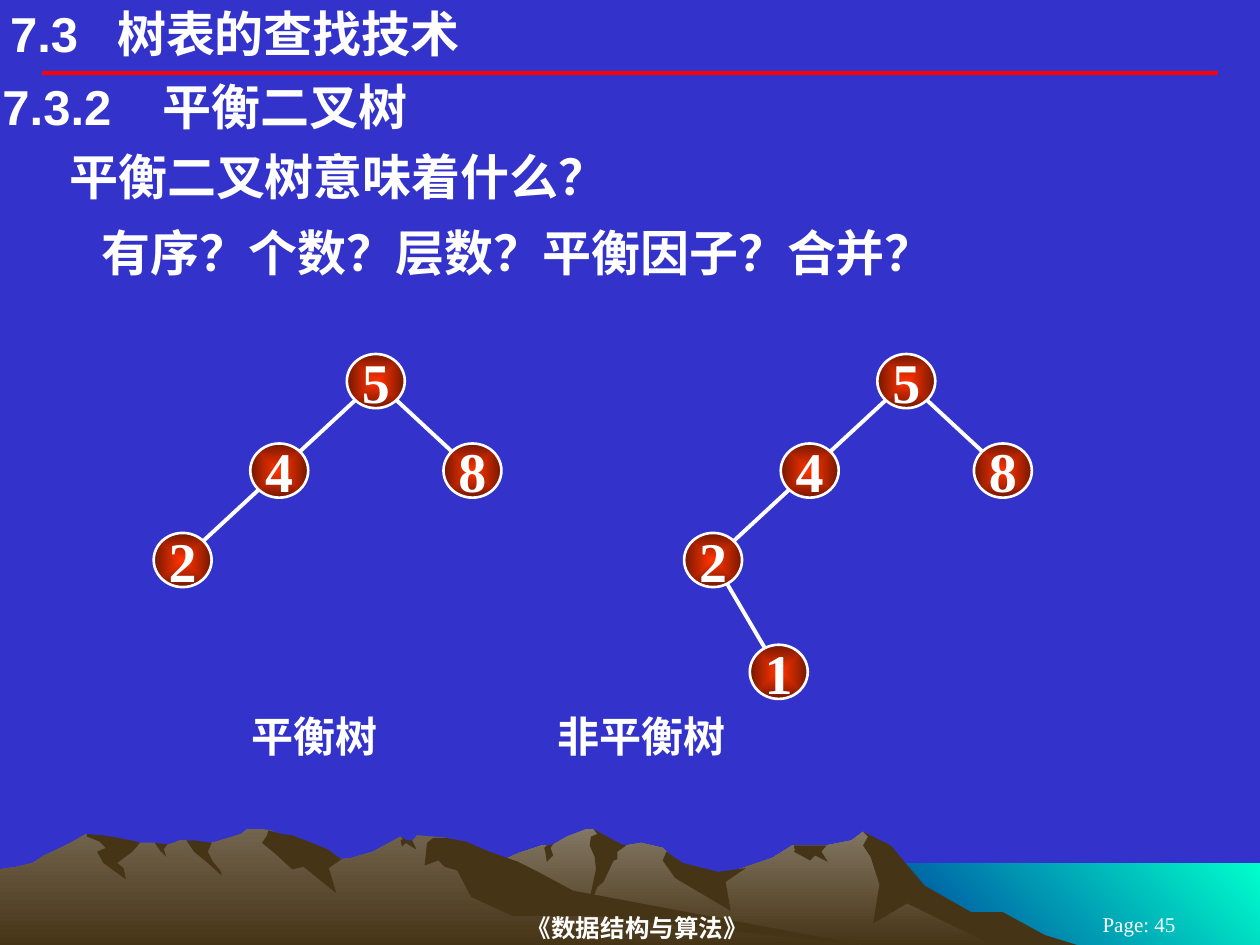
"""Build the slide that compares a balanced tree with an unbalanced one."""
from collections import namedtuple
from math import hypot

from lxml.etree import SubElement
from pptx import Presentation
from pptx.dml.color import RGBColor
from pptx.enum.shapes import MSO_CONNECTOR, MSO_SHAPE
from pptx.enum.text import MSO_ANCHOR, MSO_AUTO_SIZE, PP_ALIGN
from pptx.oxml.ns import qn
from pptx.util import Emu, Inches, Pt

Box = namedtuple("Box", "left top width height")

COLUMNS, ROWS = 1000, 750
UNIT = Inches(10) // COLUMNS
BLUE = RGBColor(0x33, 0x33, 0xCC)
WHITE = RGBColor(0xFF, 0xFF, 0xFF)
RED = RGBColor(0xFF, 0x00, 0x00)
AQUA = RGBColor(0x00, 0xFF, 0xCC)
NAVY = RGBColor(0x00, 0x33, 0x99)
GREY_ROCK = RGBColor(0x83, 0x77, 0x63)
BROWN_ROCK = RGBColor(0x72, 0x64, 0x4E)
SHADE = RGBColor(0x46, 0x34, 0x16)
NODE_CENTRE = RGBColor(0xFF, 0x33, 0x00)
NODE_EDGE = RGBColor(0x75, 0x17, 0x00)
SANS, SERIF, CHINESE = "Arial", "Times New Roman", "Noto Sans CJK SC"

SCENERY_BOX = Box(0, 658, 1000, 94)
FAR_RANGE = (
    802, 82, 778, 69, 764, 65, 723, 40, 702, 13, 685, 2, 676, 9, 656, 13, 629, 13, 613, 23, 566, 39,
    536, 32, 529, 18, 526, 15, 509, 11, 497, 13, 486, 15, 474, 3, 471, 0, 465, 0, 450, 6, 438, 13,
    430, 13, 412, 19, 394, 27, 355, 40, 327, 51, 277, 81, 258, 93, 821, 93)
FAR_SHADES = (
    (796, 66, 771, 66, 734, 45, 707, 13, 685, 2, 689, 6, 685, 13, 691, 22, 698, 44, 693, 75,
     720, 59, 792, 94, 858, 93, 829, 84),
    (471, 0, 474, 4, 469, 6, 468, 13, 472, 22, 473, 32, 465, 69, 474, 46, 479, 42, 487, 25,
     490, 24, 490, 18, 497, 13, 493, 12),
    (529, 18, 526, 25, 536, 39, 580, 65, 576, 42, 592, 31, 570, 34, 542, 27),
    (650, 13, 630, 13, 631, 17, 630, 18, 643, 25, 647, 21, 657, 26, 652, 18, 656, 13),
    (433, 19, 432, 15, 434, 13, 439, 12, 437, 15, 439, 21, 434, 26))
NEAR_RANGE = (
    690, 93, 667, 90, 432, 54, 354, 7, 331, 5, 327, 10, 323, 10, 318, 6, 296, 18, 279, 23, 271, 24,
    260, 18, 236, 23, 223, 5, 215, 1, 208, 0, 196, 0, 191, 4, 178, 8, 168, 11, 160, 13, 148, 9,
    143, 9, 132, 13, 128, 13, 123, 11, 111, 11, 94, 13, 68, 4, 56, 11, 46, 16, 35, 21, 26, 27,
    14, 30, 0, 32, 0, 93)
NEAR_SHADES = (
    (212, 5, 208, 11, 219, 20, 232, 32, 241, 30, 267, 51, 261, 31, 271, 24, 260, 16, 245, 10,
     232, 5, 224, 4, 213, 1),
    (370, 10, 354, 7, 344, 7, 339, 11, 337, 29, 348, 25, 353, 30, 363, 33, 374, 54, 407, 69,
     472, 69, 690, 93, 455, 49, 427, 34, 411, 26, 386, 17),
    (318, 9, 320, 8, 318, 6, 323, 9, 327, 9, 330, 15, 330, 16, 322, 11, 319, 14),
    (148, 9, 154, 9, 168, 11, 165, 18, 169, 26, 175, 33, 176, 37, 165, 27, 154, 18),
    (133, 12, 130, 16, 132, 22, 127, 17, 123, 11),
    (109, 10, 111, 11, 105, 18, 93, 27, 98, 31, 100, 40, 82, 27, 77, 18, 84, 15, 79, 10, 69, 6,
     69, 4, 82, 5, 94, 7))

BALANCED = {"5": (2, 0), "4": (1, 1), "8": (3, 1), "2": (0, 2)}
UNBALANCED = {**BALANCED, "1": (0.68, 3.25)}
EDGES = ("54", "42", "58", "21")


def grid(*counts):
    """Turn counts of grid units into lengths."""
    return [Emu(round(count * UNIT)) for count in counts]


def shade_evenly(fill, first, last, angle):
    """Fill with a two-colour gradient."""
    fill.gradient()
    fill.gradient_angle = angle
    for stop, colour in zip(fill.gradient_stops, (first, last)):
        stop.color.rgb = colour


def shade_from_centre(shape, first, last):
    """Fill with a gradient that runs outwards from the middle."""
    shade_evenly(shape.fill, first, last, 0)
    gradient = shape._element.spPr.find(qn("a:gradFill"))
    gradient.remove(gradient.find(qn("a:lin")))
    path = SubElement(gradient, qn("a:path"), path="rect")
    SubElement(path, qn("a:fillToRect"), dict.fromkeys("ltrb", "50000"))


def write(shape, text, size, font=SANS, bold=True, align=PP_ALIGN.LEFT,
          anchor=MSO_ANCHOR.TOP, wrap=True, insets=(0, 0), tab=None):
    """Put one formatted line of text into a shape."""
    frame = shape.text_frame
    frame.auto_size = MSO_AUTO_SIZE.NONE
    frame.word_wrap = wrap
    frame.vertical_anchor = anchor
    frame.margin_left, frame.margin_top = grid(*insets)
    frame.margin_right = frame.margin_bottom = 0
    frame.text = text
    para = frame.paragraphs[0]
    para.alignment = align
    if tab:
        stops = SubElement(para._p.get_or_add_pPr(), qn("a:tabLst"))
        SubElement(stops, qn("a:tab"), pos=str(tab * UNIT), algn="l")
    para.font.size = Pt(size)
    para.font.bold = bold
    para.font.color.rgb = WHITE
    para.font.name = font
    SubElement(para.font._element, qn("a:ea"), typeface=CHINESE)


def add_text(page, box, text, size, **style):
    """Add a text box with one line of text."""
    write(page.shapes.add_textbox(*grid(*box)), text, size, **style)


def add_line(page, start, end, colour):
    """Draw a straight line between two grid points."""
    line = page.shapes.add_connector(MSO_CONNECTOR.STRAIGHT, *grid(*start, *end))
    line.line.color.rgb = colour
    line.line.width = Pt(2.25)
    SubElement(line._element.spPr, qn("a:effectLst"))


def add_outline(page, box, numbers, first, last=None, angle=270):
    """Draw a filled outline from x, y pairs inside a box."""
    points = [(box.left + x, box.top + y) for x, y in zip(numbers[::2], numbers[1::2])]
    builder = page.shapes.build_freeform(*points[0], scale=UNIT)
    builder.add_line_segments(points[1:], close=True)
    shape = builder.convert_to_shape()
    shape.shadow.inherit = False
    shape.line.fill.background()
    if last is None:
        shape.fill.solid()
        shape.fill.fore_color.rgb = first
    else:
        shade_evenly(shape.fill, first, last, angle)


def add_scenery(page, box):
    """Draw the sea and both mountain ranges."""
    sea = (683, 27, box.width, 27, box.width, box.height, 683, box.height)
    add_outline(page, box, sea, AQUA, NAVY, 225)
    for outline, colour, shades in ((FAR_RANGE, GREY_ROCK, FAR_SHADES),
                                    (NEAR_RANGE, BROWN_ROCK, NEAR_SHADES)):
        add_outline(page, box, outline, colour, SHADE)
        for shade in shades:
            add_outline(page, box, shade, SHADE)


def add_footer(page, box):
    """Write the book title and the page number."""
    style = dict(font=SERIF, align=PP_ALIGN.CENTER, anchor=MSO_ANCHOR.MIDDLE)
    add_text(page, Box(box.left + 203, box.top, 606, box.height), "《数据结构与算法》", 14, **style)
    add_text(page, Box(box.left + 825, box.top, 158, 23), "Page: 45", 12, bold=False, **style)


def add_headings(page, box):
    """Write the title, its rule and the three lines below."""
    title = page.shapes.title
    title.left, title.top, title.width, title.height = grid(box.left + 8, box.top + 3, 650, 47)
    write(title, "7.3\t树表的查找技术", 28, tab=85)
    add_line(page, (box.left + 33, box.top + 58), (box.left + box.width - 33, box.top + 58), RED)
    for top, indent, text, tab in ((60, 2, "7.3.2\t平衡二叉树", 127),
                                   (115, 55, "平衡二叉树意味着什么？", None),
                                   (176, 81, "有序？个数？层数？平衡因子？合并？", None)):
        add_text(page, Box(box.left, box.top + top, box.width, 49), text, 28,
                 insets=(indent, 1), tab=tab)


def add_tree(page, box, nodes):
    """Draw a binary tree, each node at its column and row in the box."""
    width, height = 46, 43
    step_x, step_y = (box.width - width) / 3, (box.height - height) / 2
    centres = {label: (box.left + width / 2 + column * step_x, box.top + height / 2 + row * step_y)
               for label, (column, row) in nodes.items()}
    for label, (x, y) in centres.items():
        place = grid(x - width / 2, y - height / 2, width, height)
        node = page.shapes.add_shape(MSO_SHAPE.OVAL, *place)
        node.shadow.inherit = False
        shade_from_centre(node, NODE_CENTRE, NODE_EDGE)
        node.line.color.rgb = WHITE
        node.line.width = Pt(1.5)
        write(node, label, 32, font=SERIF, align=PP_ALIGN.CENTER,
              anchor=MSO_ANCHOR.MIDDLE, wrap=False)
    for parent, child in EDGES:
        if child in centres:
            (x1, y1), (x2, y2) = centres[parent], centres[child]
            share = 1 / hypot((x2 - x1) * 2 / width, (y2 - y1) * 2 / height)
            dx, dy = (x2 - x1) * share, (y2 - y1) * share
            add_line(page, (x1 + dx, y1 + dy), (x2 - dx, y2 - dy), WHITE)


def main():
    """Build and save the deck."""
    deck = Presentation()
    deck.slide_width, deck.slide_height = grid(COLUMNS, ROWS)
    page = deck.slides.add_slide(deck.slide_layouts[5])
    page.background.fill.solid()
    page.background.fill.fore_color.rgb = BLUE
    add_scenery(page, SCENERY_BOX)
    add_footer(page, Box(0, 722, COLUMNS, 28))
    add_headings(page, Box(0, 0, COLUMNS, 225))
    add_tree(page, Box(122, 281, 276, 185), BALANCED)
    add_tree(page, Box(543, 281, 276, 185), UNBALANCED)
    add_text(page, Box(190, 559, 656, 50), "平衡树\t非平衡树", 24, font=CHINESE,
             insets=(10, 5), tab=243)
    deck.save("out.pptx")


if __name__ == "__main__":
    main()
